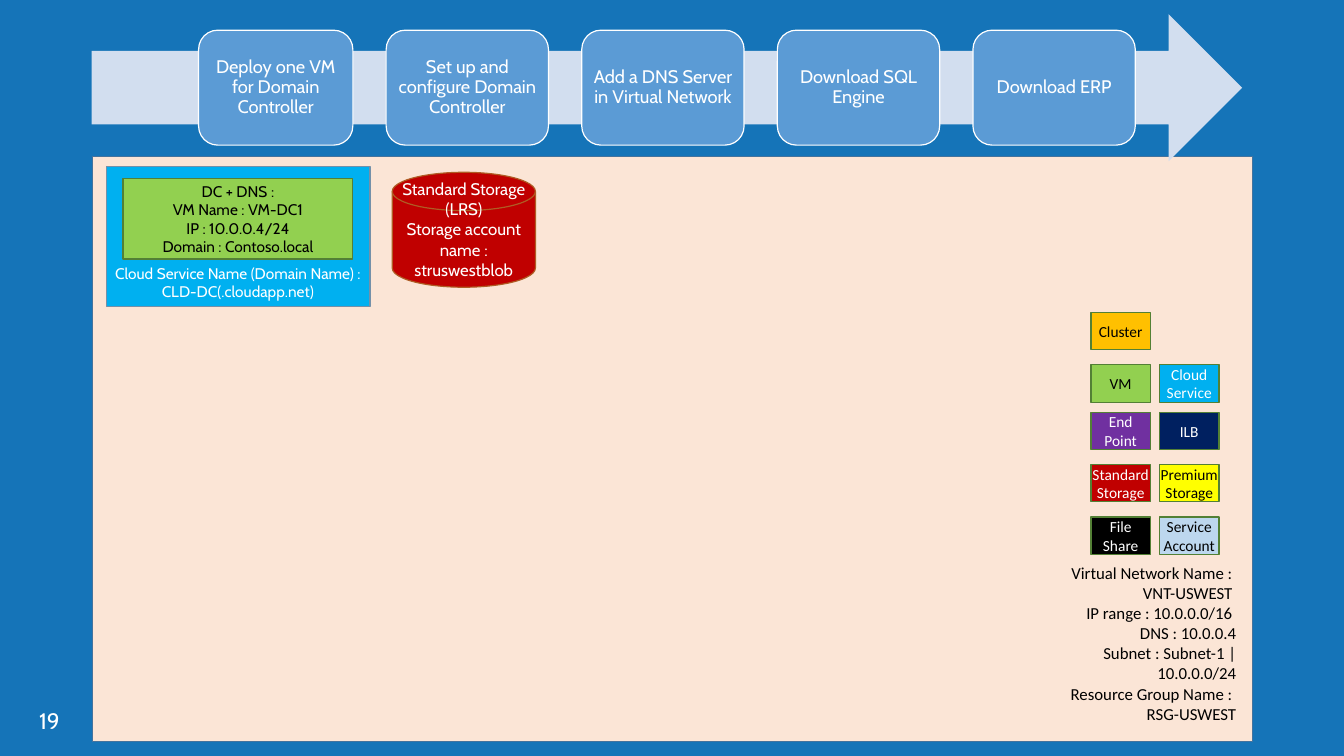
from dataclasses import dataclass

import pptx
import pptx.dml.color
import pptx.enum.shapes
import pptx.enum.text
import pptx.util

Inches = pptx.util.Inches
Pt = pptx.util.Pt
SHAPE = pptx.enum.shapes.MSO_SHAPE
ALIGN = pptx.enum.text.PP_ALIGN
ANCHOR = pptx.enum.text.MSO_ANCHOR


@dataclass(frozen=True)
class Theme:
    """Colours, fonts and type sizes of the slide."""
    back: str = "1574B8"
    panel: str = "FBE5D6"
    edge: str = "43739E"
    arrow: str = "D2DEEF"
    step: str = "5B9BD5"
    white: str = "FFFFFF"
    black: str = "000000"
    green: str = "92D050"
    moss: str = "538035"
    sky: str = "00B0F0"
    haze: str = "7390A9"
    red: str = "C00000"
    rust: str = "AF5C24"
    gold: str = "FFC000"
    purple: str = "7030A0"
    navy: str = "002060"
    yellow: str = "FFFF00"
    pale: str = "BDD7EE"
    head: str = "Cabin"
    body: str = "Calibri"
    small: float = 11
    mid: float = 12
    large: float = 13
    page: float = 16
    line: float = 0.85


T = Theme()


def tint(code):
    """Turn a hex code into a colour."""
    return pptx.dml.color.RGBColor.from_string(code)


def apply(item, values):
    """Set each named value on an item."""
    for name, value in values.items():
        setattr(item, name, value)


def write(shape, lines, size, color, face=T.head, pad=(0.1, 0.05, 0.1, 0.05),
          anchor=ANCHOR.MIDDLE, form=None):
    """Fill a shape with one paragraph per line."""
    frame = shape.text_frame
    sides = ("margin_left", "margin_top", "margin_right", "margin_bottom")
    apply(frame, {"word_wrap": True, "vertical_anchor": anchor})
    apply(frame, {side: Inches(gap) for side, gap in zip(sides, pad)})
    for index, line in enumerate(lines):
        para = frame.add_paragraph() if index else frame.paragraphs[0]
        para.text = line
        apply(para, {"alignment": ALIGN.CENTER, **(form or {})})
        for run in para.runs:
            apply(run.font, {"name": face, "size": Pt(size)})
            run.font.color.rgb = tint(color)


def block(slide, kind, box, fill, edge=None):
    """Draw a flat filled shape."""
    shape = slide.shapes.add_shape(kind, *map(Inches, box))
    shape.shadow.inherit = False
    shape.fill.solid()
    shape.fill.fore_color.rgb = tint(fill)
    if edge:
        shape.line.color.rgb = tint(edge)
        shape.line.width = Pt(T.line)
    else:
        shape.line.fill.background()
    return shape


def label(slide, box, lines, size, color, **style):
    """Place a text box with its text at the top."""
    shape = slide.shapes.add_textbox(*map(Inches, box))
    write(shape, lines, size, color, anchor=ANCHOR.TOP, **style)


def steps(slide, box, names):
    """Draw the arrow with its row of steps."""
    left, top, _, _ = box
    block(slide, SHAPE.RIGHT_ARROW, box, T.arrow)
    pitch, wide = 1.94, 1.61
    for index, name in enumerate(names):
        trim = 0 if index else 0.08
        x = left + 0.98 + index * pitch + trim
        card = block(slide, SHAPE.ROUNDED_RECTANGLE,
                     (x, top + 0.16, wide - trim, 1.14), T.step, T.white)
        write(card, [name], T.large, T.white, pad=(0.05,) * 4,
              form={"line_spacing": 0.9})


def cloud(slide, box):
    """Draw the cloud service and the machine inside it."""
    left, top, _, _ = box
    block(slide, SHAPE.RECTANGLE, box, T.sky, T.haze)
    label(slide, (left - 0.12, top + 0.92, 2.84, 0.47),
          ["Cloud Service Name (Domain Name) :\nCLD-DC(.cloudapp.net)"],
          T.small, T.white)
    host = block(slide, SHAPE.RECTANGLE, (left + 0.16, top + 0.12, 2.28, 0.8),
                 T.green, T.moss)
    write(host, ["DC + DNS :", "VM Name : VM-DC1\nIP : 10.0.0.4/24",
                 "Domain : Contoso.local"], T.small, T.black, pad=(0,) * 4)


def store(slide, box):
    """Draw the storage drum."""
    drum = block(slide, SHAPE.FLOWCHART_MAGNETIC_DISK, box, T.red, T.rust)
    write(drum, ["Standard Storage (LRS)",
                 "Storage account name : struswestblob"],
          T.mid, T.white, pad=(0.1, 0.05, 0.1, 0.25))


def legend(slide, box):
    """Draw the colour key in two columns."""
    left, top, wide, high = box
    rows = (
        (0, [("Cluster", T.gold, T.black)]),
        (0.52, [("VM", T.green, T.black), ("Cloud\nService", T.sky, T.white)]),
        (0.99, [("End\nPoint", T.purple, T.white), ("ILB", T.navy, T.white)]),
        (1.51, [("Standard\nStorage", T.red, T.white),
                ("Premium Storage", T.yellow, T.black)]),
        (2.03, [("File\nShare", T.black, T.white),
                ("Service\nAccount", T.pale, T.black)]),
    )
    gap = 0.09
    for drop, keys in rows:
        for col, (name, fill, color) in enumerate(keys):
            key = block(slide, SHAPE.RECTANGLE,
                        (left + col * (wide + gap), top + drop, wide, high),
                        fill, T.moss)
            write(key, [name], T.small, color, T.body, (0,) * 4)


def network(slide, box):
    """Write the details of the network."""
    label(slide, box,
          ["Virtual Network Name : \nVNT-USWEST ", "IP range : 10.0.0.0/16 ",
           "DNS : 10.0.0.4", "Subnet : Subnet-1 |\n10.0.0.0/24",
           "Resource Group Name : \nRSG-USWEST"],
          T.mid, T.black, face=T.body, form={"alignment": ALIGN.RIGHT})


def main():
    """Build the slide and save it."""
    deck = pptx.Presentation()
    apply(deck, {"slide_width": Inches(13.33), "slide_height": Inches(7.5)})
    slide = deck.slides.add_slide(deck.slide_layouts[6])
    slide.background.fill.solid()
    slide.background.fill.fore_color.rgb = tint(T.back)
    label(slide, (0, 6.93, 0.98, 0.57), ["19"], T.page, T.white,
          pad=(0.2, 0.16, 0.2, 0.16),
          form={"line_spacing": 0.9, "space_after": Pt(6)})
    block(slide, SHAPE.RECTANGLE, (0.92, 1.55, 11.5, 5.81), T.panel, T.edge)
    store(slide, (3.89, 1.71, 1.42, 1.14))
    network(slide, (9.83, 5.53, 2.53, 1.72))
    legend(slide, (10.82, 3.1, 0.59, 0.37))
    steps(slide, (0.91, 0.14, 11.41, 1.46),
          ["Deploy one VM for Domain Controller",
           "Set up and configure Domain Controller",
           "Add a DNS Server in Virtual Network",
           "Download SQL Engine", "Download ERP"])
    cloud(slide, (1.06, 1.65, 2.61, 1.39))
    deck.save("out.pptx")


if __name__ == "__main__":
    main()
